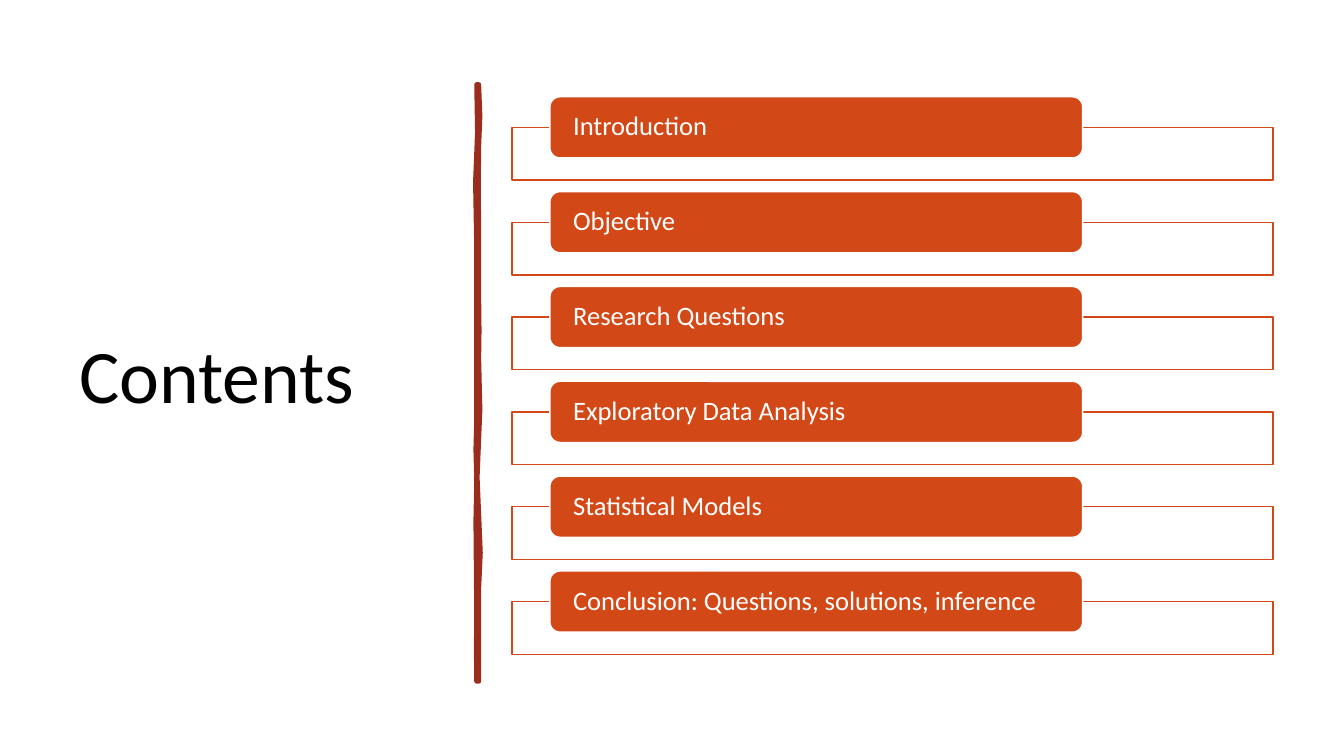
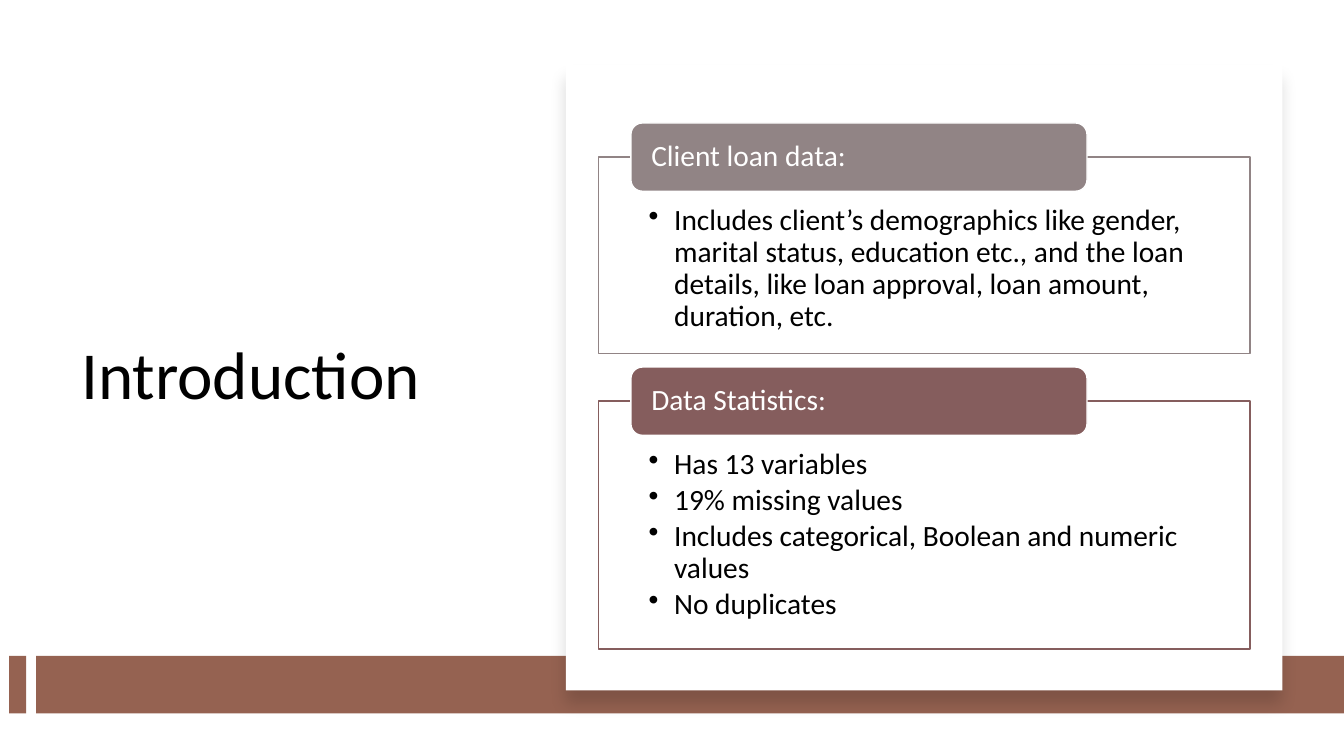
from collections import namedtuple

from lxml.etree import SubElement
from pptx import Presentation
from pptx.dml.color import RGBColor
from pptx.enum.shapes import MSO_SHAPE as Preset
from pptx.enum.text import MSO_ANCHOR as Anchor, PP_ALIGN as Align
from pptx.oxml.ns import qn
from pptx.util import Cm, Pt

FONT = "Calibri"
COLORS = {
    "black": "000000",
    "white": "FFFFFF",
    "rule": "9B2D1F",
    "orange": "D34817",
    "band": "956251",
    "taupe": "918485",
    "plum": "855D5D",
}
Box = namedtuple("Box", "left top width height")
CardStyle = namedtuple("CardStyle", "size header_height header_inset")

CONTENTS = [
    "Introduction",
    "Objective",
    "Research Questions",
    "Exploratory Data Analysis",
    "Statistical Models",
    "Conclusion: Questions, solutions, inference",
]
CLIENT_DATA = [
    "Includes client’s demographics like gender, marital status, education etc., "
    "and the loan details, like loan approval, loan amount, duration, etc.",
]
STATISTICS = [
    "Has 13 variables",
    "19% missing values",
    "Includes categorical, Boolean and numeric values",
    "No duplicates",
]
RULE_RIGHT = [
    (0.03, 0), (0.06, 0.8), (0.03, 1.57), (0.02, 2.6), (0.03, 3.6),
    (0.03, 5.33), (0.04, 6.2), (0.03, 6.9), (0.06, 8.2), (0.03, 8.94),
    (-0.01, 9.9), (0.03, 10.82), (0.07, 11.8), (0.03, 12.7), (0.03, 15.04),
]
RULE_LEFT = [
    (-0.03, 15.04), (-0.04, 14.2), (-0.03, 13.44), (-0.05, 11), (-0.03, 9.98),
    (-0.05, 9.2), (-0.03, 8.41), (-0.03, 4.2), (-0.06, 2.46), (-0.01, 1.2),
    (-0.03, 0),
]


def rgb(name):
    """Return a palette colour by name."""
    return RGBColor.from_string(COLORS[name])


def paint(shape, fill, line=None, width=1):
    """Give a shape a solid fill, an optional outline and no shadow."""
    shape.shadow.inherit = False
    shape.fill.solid()
    shape.fill.fore_color.rgb = rgb(fill)
    if line:
        shape.line.color.rgb = rgb(line)
        shape.line.width = Pt(width)
    else:
        shape.line.fill.background()


def add_block(slide, box, fill, line=None, preset=Preset.RECTANGLE):
    """Add a painted preset shape in a box given in centimetres."""
    shape = slide.shapes.add_shape(preset, *map(Cm, box))
    paint(shape, fill, line)
    return shape


def write(shape, lines, size, color, anchor, insets, space_after=0):
    """Fill a shape with left-aligned paragraphs in the common font."""
    frame = shape.text_frame
    frame.text = "\n".join(lines)
    frame.word_wrap = True
    frame.vertical_anchor = anchor
    (frame.margin_left, frame.margin_top,
     frame.margin_right, frame.margin_bottom) = map(Cm, insets)
    for paragraph in frame.paragraphs:
        paragraph.alignment = Align.LEFT
        paragraph.line_spacing = 0.9
        paragraph.space_after = Pt(space_after)
        for run in paragraph.runs:
            run.font.name = FONT
            run.font.size = Pt(size)
            run.font.color.rgb = rgb(color)


def add_bullet(paragraph):
    """Set a hanging bullet on a paragraph."""
    properties = paragraph._p.get_or_add_pPr()
    properties.set("marL", str(Cm(0.64)))
    properties.set("indent", str(-Cm(0.64)))
    SubElement(properties, qn("a:buChar"), char="•")


def add_title(slide, box, text, size):
    """Add the slide title, centred vertically in its box."""
    title = slide.shapes.add_textbox(*map(Cm, box))
    write(title, [text], size, "black", Anchor.MIDDLE, (0.25, 0.13, 0.25, 0.13))


def add_card(slide, box, heading, color, style, bullets=()):
    """Add an outlined card whose rounded header straddles its top edge."""
    body = add_block(slide, box, "white", color)
    if bullets:
        write(body, bullets, style.size, "black", Anchor.TOP,
              (1.27, 1.22, 1.27, 0.41), space_after=3)
        for paragraph in body.text_frame.paragraphs:
            add_bullet(paragraph)
    header_box = Box(box.left + 0.05 * box.width,
                     box.top - style.header_height / 2,
                     0.7 * box.width, style.header_height)
    header = add_block(slide, header_box, color, "white", Preset.ROUNDED_RECTANGLE)
    inset = style.header_inset
    write(header, [heading], style.size, "white", Anchor.MIDDLE, (inset, 0, inset, 0))


def add_wavy_rule(slide, center, top):
    """Draw the hand-drawn vertical rule from its two edges."""
    points = [(Cm(center + x), Cm(top + y)) for x, y in RULE_RIGHT + RULE_LEFT]
    builder = slide.shapes.build_freeform(*points[0])
    builder.add_line_segments(points[1:], close=True)
    paint(builder.convert_to_shape(), "rule", "rule", 3.25)


def add_footer_band(slide, top, height, slide_width):
    """Add the short and the long bar along the bottom."""
    for left, right in ((0.23, 0.66), (0.91, slide_width)):
        add_block(slide, Box(left, top, right - left, height), "band")


def add_panel(slide, box):
    """Add a white panel with a soft shadow below it."""
    panel = add_block(slide, box, "white")
    effects = panel._element.spPr.find(qn("a:effectLst"))
    shadow = SubElement(effects, qn("a:outerShdw"), blurRad=str(Pt(11)),
                        dist=str(Pt(10)), dir="5400000", algn="t", rotWithShape="0")
    color = SubElement(shadow, qn("a:srgbClr"), val=COLORS["black"])
    SubElement(color, qn("a:alpha"), val="15000")


def build_contents(slide):
    """Build the list of contents."""
    add_title(slide, Box(1.75, 1.78, 9.5, 15.52), "Contents", 54)
    add_wavy_rule(slide, 12.04, 2.13)
    style = CardStyle(19, 1.54, 0.51)
    for index, heading in enumerate(CONTENTS):
        box = Box(12.9, 3.21 + 2.39 * index, 19.18, 1.33)
        add_card(slide, box, heading, "orange", style)


def build_introduction(slide):
    """Build the introduction with its two cards on a panel."""
    add_title(slide, Box(1.8, 3.05, 10.54, 12.95), "Introduction", 48)
    add_footer_band(slide, 16.53, 1.45, 33.87)
    panel = Box(14.26, 1.63, 18.06, 15.77)
    add_panel(slide, panel)
    style = CardStyle(21, 1.72, 0.43)
    margin, gap = 0.82, 1.2
    top = panel.top + 2.33
    for heading, color, height, bullets in (
        ("Client loan data:", "taupe", 4.95, CLIENT_DATA),
        ("Data Statistics:", "plum", 6.25, STATISTICS),
    ):
        box = Box(panel.left + margin, top, panel.width - 2 * margin, height)
        add_card(slide, box, heading, color, style, bullets)
        top += height + gap


def main():
    """Create and save the presentation."""
    presentation = Presentation()
    presentation.slide_width, presentation.slide_height = Cm(33.87), Cm(19.05)
    blank = presentation.slide_layouts[6]
    for build in (build_contents, build_introduction):
        build(presentation.slides.add_slide(blank))
    presentation.save("out.pptx")


if __name__ == "__main__":
    main()
